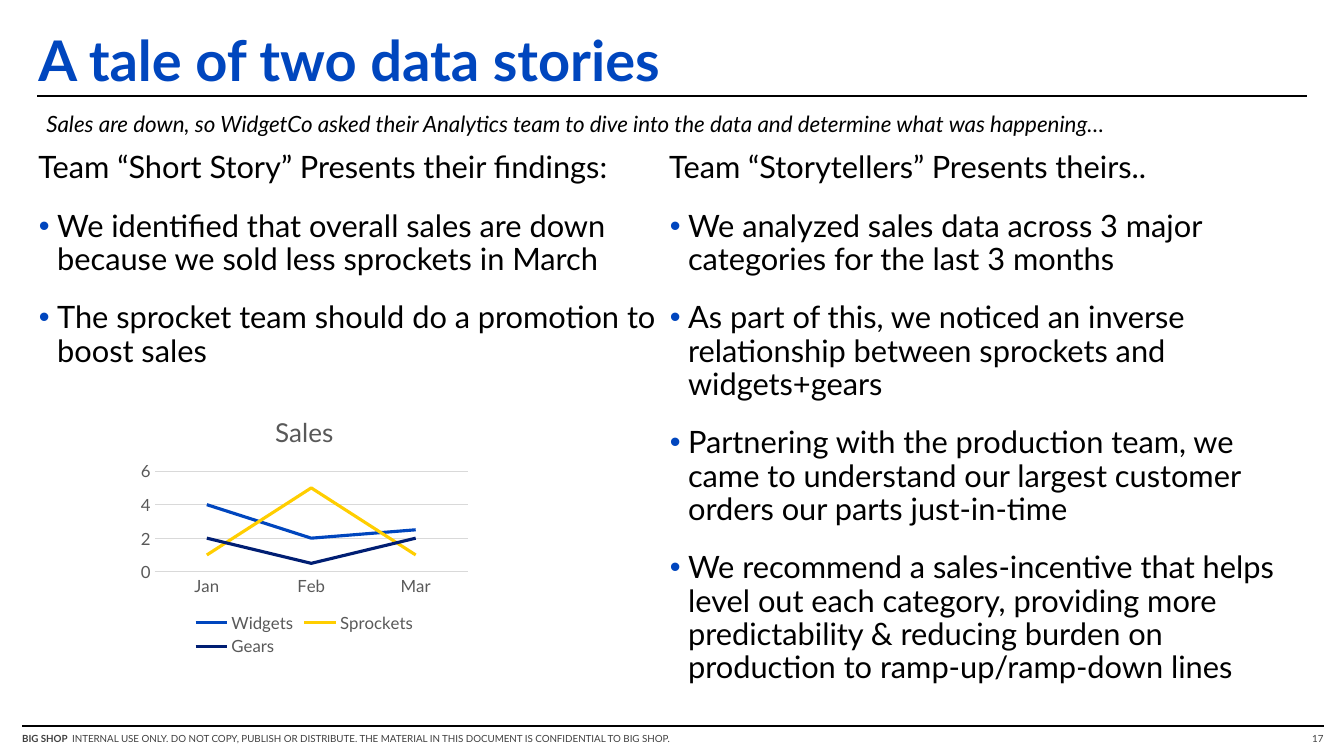
from lxml.etree import SubElement
from pptx import Presentation
from pptx.chart.data import CategoryChartData
from pptx.dml.color import RGBColor
from pptx.enum.chart import XL_CHART_TYPE, XL_LEGEND_POSITION, XL_MARKER_STYLE, XL_TICK_MARK
from pptx.enum.shapes import MSO_CONNECTOR
from pptx.enum.text import MSO_ANCHOR, PP_ALIGN
from pptx.oxml.ns import qn
from pptx.util import Pt

COLORS = {"blue": "0046BE", "yellow": "FFCE00", "navy": "001E73", "black": "000000",
          "footer": "404040", "label": "595959", "grid": "D9D9D9"}


def color(name):
    return RGBColor.from_string(COLORS[name])


class SlideBuilder:
    font_name = "Lato"

    def __init__(self, page):
        self.page = page

    def style_font(self, font, size, shade, bold=False, italic=False):
        font.name, font.size = self.font_name, Pt(size)
        font.bold, font.italic = bold, italic
        font.color.rgb = color(shade)

    def frame(self, left, top, width, height, anchor=MSO_ANCHOR.TOP):
        box = self.page.shapes.add_textbox(Pt(left), Pt(top), Pt(width), Pt(height))
        frame = box.text_frame
        frame.word_wrap = True
        frame.vertical_anchor = anchor
        frame.margin_left = frame.margin_right = frame.margin_top = frame.margin_bottom = 0
        return frame

    def span(self, para, text, size, shade, **emphasis):
        span = para.add_run()
        span.text = text
        self.style_font(span.font, size, shade, **emphasis)

    def bullet(self, para):
        properties = para._p.get_or_add_pPr()
        properties.set("marL", str(Pt(13.5)))
        properties.set("indent", str(-Pt(13)))
        tint = SubElement(properties, qn("a:buClr"))
        SubElement(tint, qn("a:srgbClr"), val=COLORS["blue"])
        SubElement(properties, qn("a:buFont"), typeface="Arial")
        SubElement(properties, qn("a:buChar"), char="•")

    def story(self, left, heading, findings):
        frame = self.frame(left, 108.72, 447.12, 368.64)
        para = frame.paragraphs[0]
        para.line_spacing = 0.9
        self.span(para, heading, 22, "black")
        for finding in findings:
            para = frame.add_paragraph()
            para.line_spacing = 0.9
            para.space_before = Pt(18)
            self.bullet(para)
            self.span(para, finding, 22, "black")

    def rule(self, left, right, top):
        line = self.page.shapes.add_connector(
            MSO_CONNECTOR.STRAIGHT, Pt(left), Pt(top), Pt(right), Pt(top))
        line.line.color.rgb = color("black")
        line.line.width = Pt(1.25)
        SubElement(line._element.spPr, qn("a:effectLst"))

    def line_chart(self, left, top, width, height, title, months, sales):
        data = CategoryChartData()
        data.categories = months
        for name, (values, _) in sales.items():
            data.add_series(name, values)
        chart = self.page.shapes.add_chart(
            XL_CHART_TYPE.LINE, Pt(left), Pt(top), Pt(width), Pt(height), data).chart
        self.style_font(chart.font, 10, "black")

        # Title and legend
        chart.has_title = True
        self.span(chart.chart_title.text_frame.paragraphs[0], title, 18.6, "label")
        chart.chart_title.include_in_layout = False
        chart.has_legend = True
        chart.legend.position = XL_LEGEND_POSITION.BOTTOM
        chart.legend.include_in_layout = False
        self.style_font(chart.legend.font, 12, "label")

        # Axes
        for axis in (chart.category_axis, chart.value_axis):
            axis.major_tick_mark = axis.minor_tick_mark = XL_TICK_MARK.NONE
            self.style_font(axis.tick_labels.font, 12, "label")
        months_line = chart.category_axis.format.line
        grid_line = chart.value_axis.major_gridlines.format.line
        for line in (months_line, grid_line):
            line.color.rgb = color("grid")
            line.width = Pt(0.75)
        chart.value_axis.format.line.fill.background()
        chart.value_axis.minimum_scale, chart.value_axis.maximum_scale = 0, 6
        chart.value_axis.major_unit = 2

        # Series
        plot = chart.plots[0]
        plot.vary_by_categories = False
        for series, (_, shade) in zip(plot.series, sales.values()):
            series.smooth = False
            series.marker.style = XL_MARKER_STYLE.NONE
            series.format.line.color.rgb = color(shade)
            series.format.line.width = Pt(2.25)


def main():
    deck = Presentation()
    deck.slide_width, deck.slide_height = Pt(960), Pt(540)
    page = deck.slides.add_slide(deck.slide_layouts[6])
    builder = SlideBuilder(page)

    # Footer
    para = builder.frame(15.84, 523.44, 560, 11.5).paragraphs[0]
    builder.span(para, "BIG SHOP  ", 7, "footer", bold=True)
    builder.span(para, "INTERNAL USE ONLY. DO NOT COPY, PUBLISH OR DISTRIBUTE. "
                 "THE MATERIAL IN THIS DOCUMENT IS CONFIDENTIAL TO BIG SHOP.", 7, "footer")
    para = builder.frame(928.8, 523.44, 16.56, 11.5).paragraphs[0]
    para.alignment = PP_ALIGN.RIGHT
    builder.span(para, "17", 7, "footer")

    # Rules under the title and above the footer
    builder.rule(26.64, 933.84, 68.4)
    builder.rule(15.84, 946.08, 518.4)

    # Title and introduction
    para = builder.frame(27.36, 24.48, 907.2, 43.92, MSO_ANCHOR.MIDDLE).paragraphs[0]
    para.line_spacing = 0.8
    builder.span(para, "A tale of two data stories", 40, "blue", bold=True)
    para = builder.frame(33.12, 78.48, 900, 19.44).paragraphs[0]
    builder.span(para, "Sales are down, so WidgetCo asked their Analytics team to dive into "
                 "the data and determine what was happening…", 16, "black", italic=True)

    # The two stories
    builder.story(27.36, "Team “Short Story” Presents their findings:", [
        "We identified that overall sales are down because we sold less sprockets in March",
        "The sprocket team should do a promotion to boost sales",
    ])
    builder.story(478, "Team “Storytellers” Presents theirs..", [
        "We analyzed sales data across 3 major categories for the last 3 months",
        "As part of this, we noticed an inverse relationship between sprockets and "
        "widgets+gears",
        "Partnering with the production team, we came to understand our largest customer "
        "orders our parts just-in-time",
        "We recommend a sales-incentive that helps level out each category, providing more "
        "predictability & reducing burden on production to ramp-up/ramp-down lines",
    ])

    # Sales chart
    builder.line_chart(95.76, 284.4, 243.36, 187.2, "Sales", ["Jan", "Feb", "Mar"], {
        "Widgets": ((4, 2, 2.5), "blue"),
        "Sprockets": ((1, 5, 1), "yellow"),
        "Gears": ((2, 0.5, 2), "navy"),
    })

    deck.save("out.pptx")


if __name__ == "__main__":
    main()
